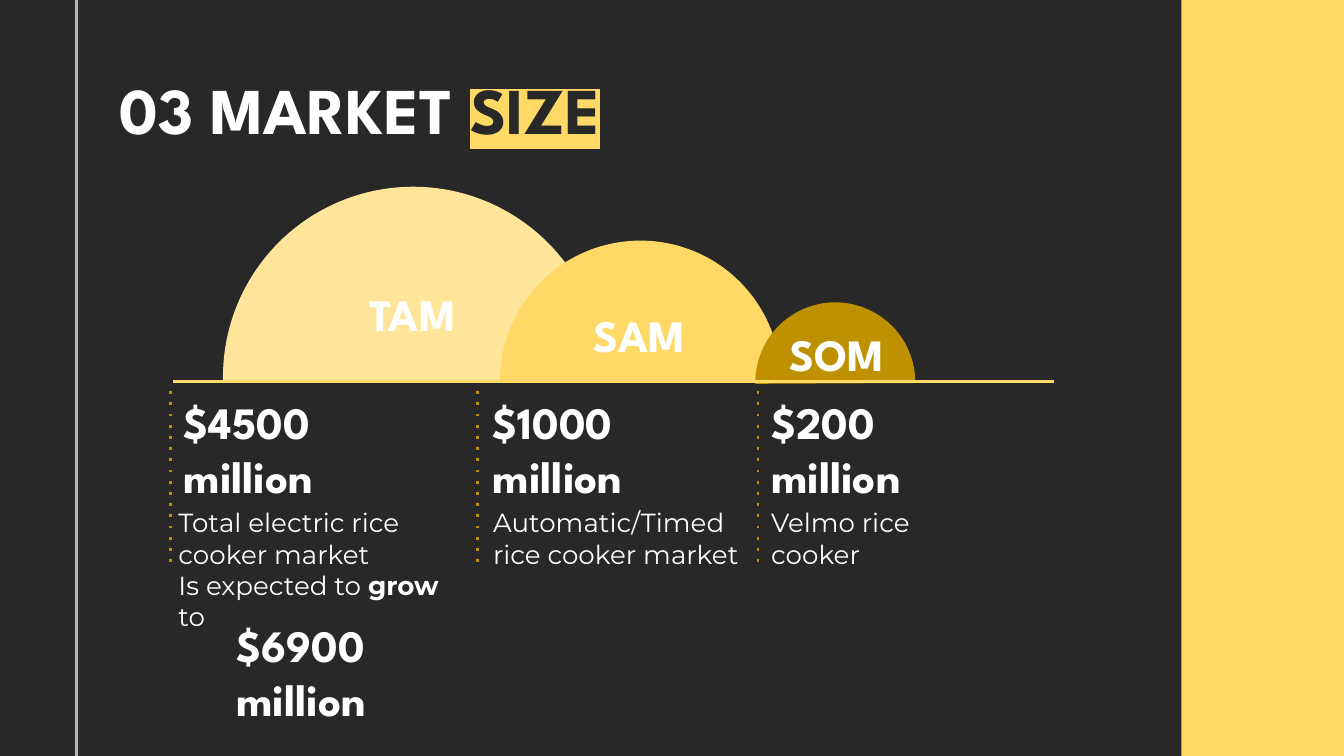
from lxml import etree
from pptx import Presentation
from pptx import util as u
from pptx.dml.color import RGBColor
from pptx.enum import dml, shapes, text
from pptx.oxml import ns

PX = 9144
DARK = RGBColor(0x29, 0x28, 0x28)
WHITE = RGBColor(0xFF, 0xFF, 0xFF)
GREY = RGBColor(0xB7, 0xB7, 0xB7)
CREAM = RGBColor(0xFF, 0xE5, 0x99)
YELLOW = RGBColor(0xFF, 0xD9, 0x66)
GOLD = RGBColor(0xBF, 0x90, 0x00)
HEADING = "League Spartan"
BODY = "Montserrat"

MARKETS = [
    {"name": "TAM", "color": CREAM, "dome": (166, 139, 283),
     "angles": (107.36, 0.71), "label": (229, 203)},
    {"name": "SAM", "color": YELLOW, "dome": (372, 179, 209),
     "angles": (108, 0.27), "label": (398, 219)},
    {"name": "SOM", "color": GOLD, "dome": (562, 225, 119),
     "angles": (107.36, 0.27), "label": (545, 233)},
]
COLUMNS = [
    {"rule": 127, "amount": (127, 260, ["$4500", "million"]),
     "note": (123, 233, ["Total electric rice cooker market",
                         [("Is expected to ", {}), ("grow ", {"bold": True}), ("to", {})]])},
    {"rule": 355, "amount": (357, 190, ["$1000 million"]),
     "note": (357, 209, ["Automatic/Timed rice cooker market"])},
    {"rule": 564, "amount": (564, 200, ["$200 million"]),
     "note": (564, 190, ["Velmo rice cooker"])},
]


def px(*lengths):
    """Turn px into EMU."""
    return [u.Emu(length * PX) for length in lengths]


def add_span(para, words, size, font, color=WHITE, bold=False, highlight=None):
    """Add one formatted run to a paragraph."""
    span = para.add_run()
    span.text = words
    span.font.size = u.Pt(size)
    span.font.name = font
    span.font.bold = bold
    span.font.color.rgb = color
    if highlight is not None:
        mark = etree.Element(ns.qn("a:highlight"))
        etree.SubElement(mark, ns.qn("a:srgbClr"), val=str(highlight))
        span.font._element.find(ns.qn("a:solidFill")).addnext(mark)


def add_text(page, box, paragraphs, align=text.PP_ALIGN.LEFT,
             anchor=text.MSO_ANCHOR.TOP, **style):
    """Add a text box; a paragraph is a string or a list of (words, style)."""
    frame = page.shapes.add_textbox(*px(*box)).text_frame
    frame.word_wrap = True
    frame.vertical_anchor = anchor
    frame.margin_left = frame.margin_right = u.Inches(0.1)
    frame.margin_top = frame.margin_bottom = u.Inches(0.1)
    for index, content in enumerate(paragraphs):
        para = frame.add_paragraph() if index else frame.paragraphs[0]
        para.alignment = align
        spans = [(content, {})] if isinstance(content, str) else content
        for words, extra in spans:
            add_span(para, words, **{**style, **extra})


def add_filled(page, kind, box, color):
    """Add a plain filled shape."""
    shape = page.shapes.add_shape(kind, *px(*box))
    shape.shadow.inherit = False
    shape.fill.solid()
    shape.fill.fore_color.rgb = color
    shape.line.fill.background()
    return shape


def add_line(page, start, end, color, dotted=False):
    """Add a straight line between two points."""
    line = page.shapes.add_connector(shapes.MSO_CONNECTOR.STRAIGHT, *px(*start, *end))
    line.line.color.rgb = color
    line.line.width = u.Pt(1.5)
    properties = line._element.spPr
    if dotted:
        line.line.dash_style = dml.MSO_LINE.ROUND_DOT
        properties.find(".//" + ns.qn("a:prstDash")).set("val", "dot")
    etree.SubElement(properties, ns.qn("a:effectLst"))


def add_frame(page, box):
    """Paint the background, right band and left rule."""
    left, top, width, height = box
    page.background.fill.solid()
    page.background.fill.fore_color.rgb = DARK
    rectangle = shapes.MSO_SHAPE.RECTANGLE
    add_filled(page, rectangle, (left + 879, top, width - 879, height), YELLOW)
    add_filled(page, rectangle, (left + 56, top, 2, height), GREY)


def add_title(page, box):
    """Add the title with its highlighted word."""
    add_text(page, box, [[("03 MARKET ", {}), ("SIZE", {"color": DARK, "highlight": YELLOW})]],
             anchor=text.MSO_ANCHOR.MIDDLE, size=35, font=HEADING, bold=True)


def add_domes(page, left, base, width):
    """Draw the market domes, their baseline and their names."""
    for market in MARKETS:
        x, y, size = market["dome"]
        dome = add_filled(page, shapes.MSO_SHAPE.CHORD, (x, y, size, size), market["color"])
        dome.adjustments[0], dome.adjustments[1] = market["angles"]
    add_line(page, (left, base), (left + width, base), YELLOW)
    for market in MARKETS:
        add_text(page, (*market["label"], 156, 44), [market["name"]],
                 align=text.PP_ALIGN.CENTER, size=24, font=HEADING, bold=True)


def add_amount(page, left, top, width, paragraphs):
    """Add a large money figure."""
    add_text(page, (left, top, width, 93), paragraphs, size=24, font=HEADING, bold=True)


def add_column(page, top, column):
    """Add a dotted rule, an amount and its note below the baseline."""
    rule = column["rule"]
    add_line(page, (rule, top + 7), (rule, top + 140), GOLD, dotted=True)
    left, width, paragraphs = column["amount"]
    add_amount(page, left, top, width, paragraphs)
    left, width, paragraphs = column["note"]
    add_text(page, (left, top + 83, width, 93), paragraphs, size=14, font=BODY)


def main():
    """Build and save the market size slide."""
    deck = Presentation()
    deck.slide_width = u.Inches(10)
    deck.slide_height = deck.slide_width * 9 // 16
    page = deck.slides.add_slide(deck.slide_layouts[6])
    add_frame(page, (0, -1, 1000, 565))
    add_title(page, (79, 49, 843, 63))
    add_domes(page, 129, 284, 655)
    for column in COLUMNS:
        add_column(page, 284, column)
    add_amount(page, 166, 450, 260, ["$6900", "million"])
    deck.save("out.pptx")


if __name__ == "__main__":
    main()
